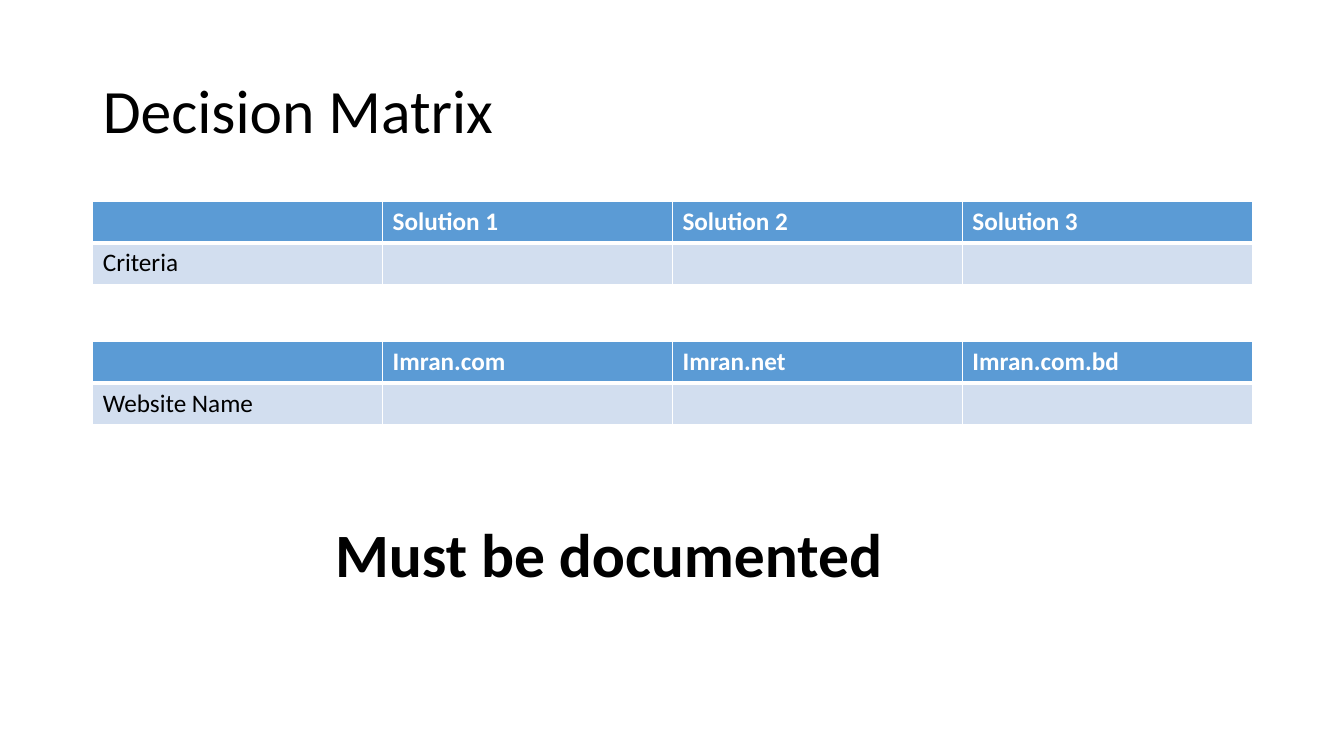
import pptx
import pptx.dml.color
import pptx.enum.text
import pptx.oxml
import pptx.oxml.ns
import pptx.util

Inches = pptx.util.Inches
Pt = pptx.util.Pt
ALIGN = pptx.enum.text.PP_ALIGN
COLORS = {"text": "000000", "white": "FFFFFF", "header": "5B9BD5", "band": "D2DEEF"}
LEFT, WIDTH, ROW_HEIGHT = 0.92, 11.5, 0.41


def rgb(name):
    return pptx.dml.color.RGBColor.from_string(COLORS[name])


def write(tf, text, size, color="text", bold=False, align=ALIGN.LEFT, spacing=1.0):
    p = tf.paragraphs[0]
    for key, value in {"alignment": align, "line_spacing": spacing}.items():
        setattr(p, key, value)
    r = p.add_run()
    r.text = text
    for key, value in {"name": "Calibri", "size": Pt(size), "bold": bold}.items():
        setattr(r.font, key, value)
    r.font.color.rgb = rgb(color)


def add_borders(cell, widths):
    tc_pr = cell._tc.get_or_add_tcPr()
    for side, width in widths.items():
        tc_pr.append(pptx.oxml.parse_xml(
            f'<a:ln{side} {pptx.oxml.ns.nsdecls("a")} w="{Pt(width)}">'
            f'<a:solidFill><a:srgbClr val="{COLORS["white"]}"/></a:solidFill>'
            f'</a:ln{side}>'))


def add_matrix(s, top, options, label):
    rows = [["", *options], [label] + [""] * len(options)]
    table = s.shapes.add_table(
        len(rows), len(rows[0]), Inches(LEFT), Inches(top),
        Inches(WIDTH), Inches(ROW_HEIGHT * len(rows))).table
    for i, texts in enumerate(rows):
        header = i == 0
        for j, text in enumerate(texts):
            cell = table.cell(i, j)
            add_borders(cell, {"L": 1, "R": 1, "T": 1 if header else 3, "B": 3 if header else 1})
            cell.fill.solid()
            cell.fill.fore_color.rgb = rgb("header" if header else "band")
            if text:
                write(cell.text_frame, text, 18, "white" if header else "text", header)


def add_title(s, text):
    sp = s.shapes.title
    box = {"left": LEFT, "top": 0.4, "width": WIDTH, "height": 1.45}
    for key, value in box.items():
        setattr(sp, key, Inches(value))
    tf = sp.text_frame
    tf.auto_size = pptx.enum.text.MSO_AUTO_SIZE.NONE
    tf.vertical_anchor = pptx.enum.text.MSO_ANCHOR.MIDDLE
    write(tf, text, 44, spacing=0.9)


def add_note(s, text):
    sp = s.shapes.add_textbox(Inches(3.2), Inches(5.07), Inches(5.68), Inches(0.84))
    tf = sp.text_frame
    tf.word_wrap = False
    tf.auto_size = pptx.enum.text.MSO_AUTO_SIZE.SHAPE_TO_FIT_TEXT
    write(tf, text, 44, bold=True, align=ALIGN.CENTER)


def main():
    prs = pptx.Presentation()
    prs.slide_width, prs.slide_height = Inches(13.33), Inches(7.5)
    s = prs.slides.add_slide(prs.slide_layouts[5])
    add_title(s, "Decision Matrix")
    add_matrix(s, 2, ["Solution 1", "Solution 2", "Solution 3"], "Criteria")
    add_matrix(s, 3.39, ["Imran.com", "Imran.net", "Imran.com.bd"], "Website Name")
    add_note(s, "Must be documented")
    prs.save("out.pptx")


if __name__ == "__main__":
    main()
